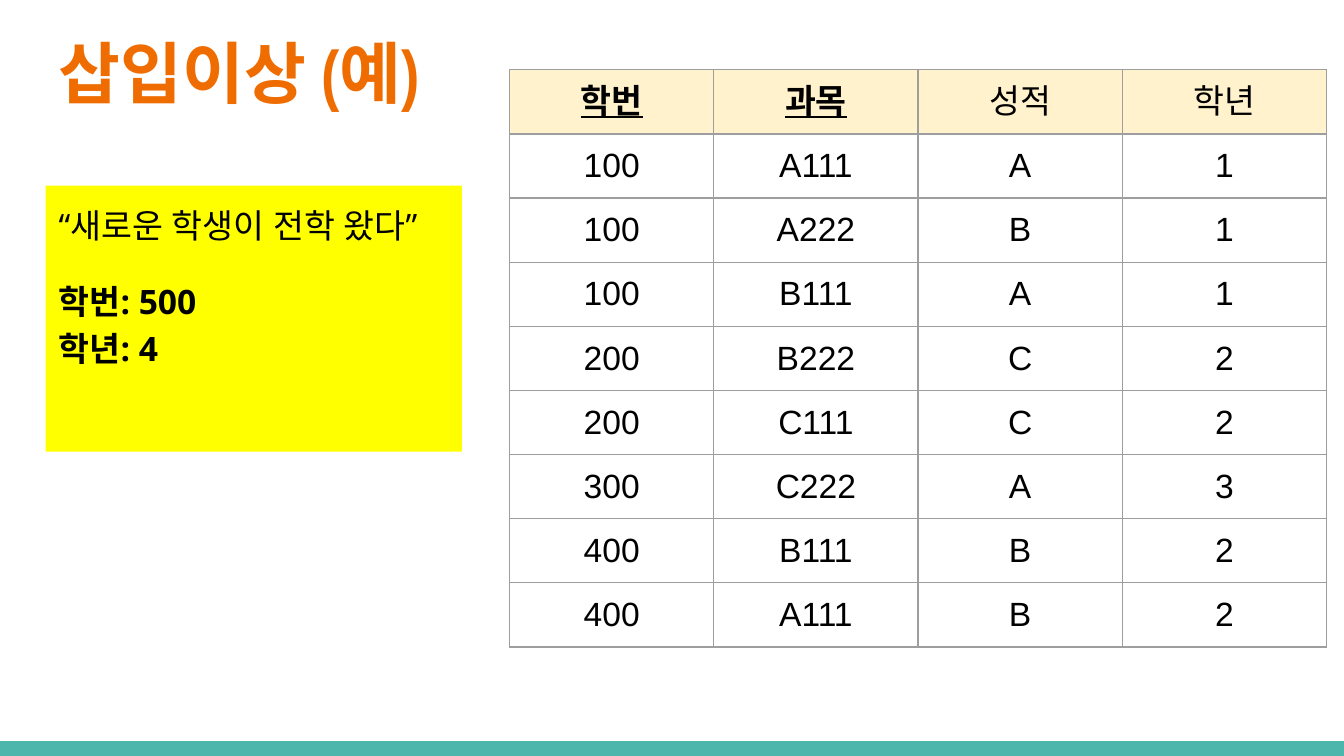
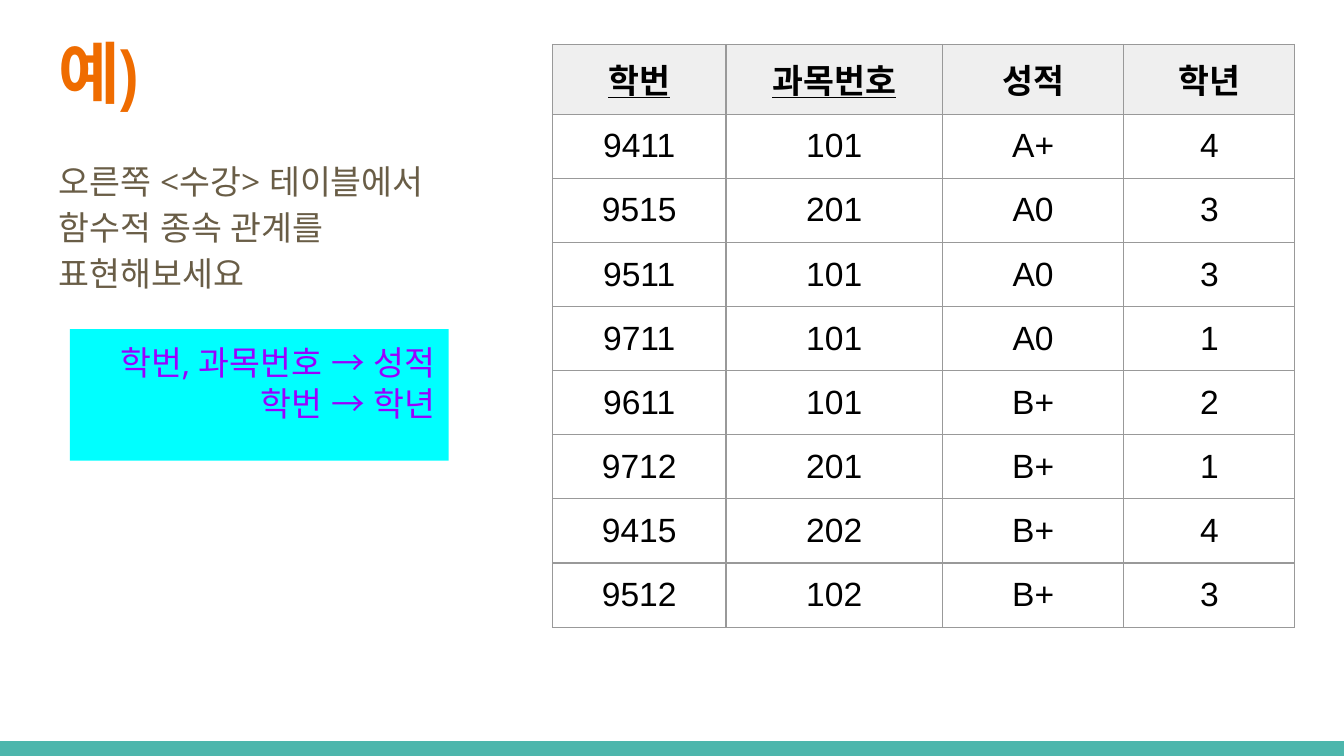
from copy import deepcopy
from dataclasses import dataclass

from lxml import etree
from pptx import Presentation
from pptx.dml.color import RGBColor
from pptx.enum.shapes import MSO_SHAPE
from pptx.enum.text import MSO_ANCHOR, MSO_AUTO_SIZE, PP_ALIGN
from pptx.oxml.ns import qn
from pptx.util import Cm, Pt

LEFT, CENTER, RIGHT = PP_ALIGN.LEFT, PP_ALIGN.CENTER, PP_ALIGN.RIGHT
TOP, MIDDLE = MSO_ANCHOR.TOP, MSO_ANCHOR.MIDDLE


@dataclass(frozen=True)
class Theme:
    band: str = "4DB6AC"
    title: str = "EF6C00"
    body: str = "695D46"
    ink: str = "000000"
    answer: str = "9900FF"
    answer_fill: str = "00FFFF"
    note_fill: str = "FFFF00"
    title_font: str = "Arial Narrow"
    body_font: str = "Open Sans"
    table_font: str = "Arial"
    title_size: int = 36
    text_size: int = 18
    border_width: float = 0.75


THEME = Theme()
PAGE_WIDTH, PAGE_HEIGHT, BAND_HEIGHT = 25.4, 14.29, 0.28
INSET = Cm(0.25)
SIDES = ("margin_left", "margin_top", "margin_right", "margin_bottom")

# Areas are (left, top, width, height) in centimetres.
PAGES = [
    {
        "title": "삽입이상 (예)",
        "title_width": 9.02,
        "body": {
            "area": (0.86, 3.51, 7.87, 5.03),
            "color": THEME.ink,
            "fill": THEME.note_fill,
            "paragraphs": [
                {"text": "“새로운 학생이 전학 왔다”"},
                {"text": "학번: 500\v학년: 4", "bold": True, "before": 16, "after": 16},
            ],
        },
        "table": {
            "corner": (9.63, 1.32),
            "columns": [3.86] * 4,
            "row_height": 1.07,
            "anchor": MIDDLE,
            "border": "9E9E9E",
            "header_fill": "FFF2CC",
            "header_spacing": 1.0,
            "keys": ("학번", "과목"),
            "bold": ("학번", "과목"),
            "rows": [
                ("학번", "과목", "성적", "학년"),
                ("100", "A111", "A", "1"),
                ("100", "A222", "B", "1"),
                ("100", "B111", "A", "1"),
                ("200", "B222", "C", "2"),
                ("200", "C111", "C", "2"),
                ("300", "C222", "A", "3"),
                ("400", "B111", "B", "2"),
                ("400", "A111", "B", "2"),
            ],
        },
    },
    {
        "title": "예)",
        "title_width": 7.04,
        "body": {
            "area": (0.86, 2.67, 8.94, 4.32),
            "color": THEME.body,
            "paragraphs": [
                {"text": "오른쪽 <수강> 테이블에서 함수적 종속 관계를 표현해보세요", "after": 16},
            ],
        },
        "table": {
            "corner": (10.44, 0.84),
            "columns": [3.28, 4.09, 3.43, 3.23],
            "row_height": 0.61,
            "anchor": TOP,
            "border": "999999",
            "header_fill": "EFEFEF",
            "header_spacing": 1.15,
            "keys": ("학번", "과목번호"),
            "bold": ("학번", "과목번호", "성적", "학년"),
            "rows": [
                ("학번", "과목번호", "성적", "학년"),
                ("9411", "101", "A+", "4"),
                ("9515", "201", "A0", "3"),
                ("9511", "101", "A0", "3"),
                ("9711", "101", "A0", "1"),
                ("9611", "101", "B+", "2"),
                ("9712", "201", "B+", "1"),
                ("9415", "202", "B+", "4"),
                ("9512", "102", "B+", "3"),
            ],
        },
        "answer": {
            "area": (1.32, 6.22, 7.16, 2.49),
            "paragraphs": [
                {"text": "학번, 과목번호 → 성적"},
                {"text": "학번 → 학년"},
            ],
        },
    },
]
HEADER_HEIGHT = 1.07


def set_all(target, values):
    for name, value in values.items():
        setattr(target, name, value)


def place(shape, area):
    set_all(shape, dict(zip(("left", "top", "width", "height"), map(Cm, area))))


def paint(shape, color):
    shape.fill.solid()
    shape.fill.fore_color.rgb = RGBColor.from_string(color)


def write(para, text, font, size, color, bold=False, underline=None,
          align=LEFT, spacing=1.0, before=0, after=0):
    """Fill one unbulleted paragraph; a vertical tab in text is a line break."""
    para.text = text
    properties = para._p.get_or_add_pPr()
    properties.set("marL", "0")
    properties.set("indent", "0")
    etree.SubElement(properties, qn("a:buNone"))
    set_all(para, {"alignment": align, "line_spacing": spacing,
                   "space_before": Pt(before), "space_after": Pt(after)})
    for span in para.runs:
        set_all(span.font, {"size": Pt(size), "bold": bold, "underline": underline})
        span.font.color.rgb = RGBColor.from_string(color)
        span.font.name = font
        etree.SubElement(span.font._element, qn("a:ea"), typeface=font)
    for line_break in para._p.findall(qn("a:br")):
        line_break.append(deepcopy(para.runs[0].font._element))


def write_box(shape, paragraphs, anchor=TOP, **style):
    frame = shape.text_frame
    set_all(frame, {"word_wrap": True, "auto_size": MSO_AUTO_SIZE.NONE,
                    "vertical_anchor": anchor, **dict.fromkeys(SIDES, INSET)})
    for index, content in enumerate(paragraphs):
        para = frame.add_paragraph() if index else frame.paragraphs[0]
        write(para, **style, **content)


def add_rectangle(page, area, color):
    shape = page.shapes.add_shape(MSO_SHAPE.RECTANGLE, *map(Cm, area))
    paint(shape, color)
    shape.line.fill.background()
    shape.shadow.inherit = False
    return shape


def border_cell(cell, color):
    properties = cell._tc.get_or_add_tcPr()
    for side in ("lnL", "lnR", "lnT", "lnB"):
        line = etree.SubElement(properties, qn(f"a:{side}"), w=str(Pt(THEME.border_width)))
        fill = etree.SubElement(line, qn("a:solidFill"))
        etree.SubElement(fill, qn("a:srgbClr"), val=color)


def add_grid(page, grid):
    rows, columns = grid["rows"], grid["columns"]
    heights = [HEADER_HEIGHT] + [grid["row_height"]] * (len(rows) - 1)
    area = (*grid["corner"], sum(columns), sum(heights))
    table = page.shapes.add_table(len(rows), len(columns), *map(Cm, area)).table
    set_all(table, {"first_row": False, "horz_banding": False})
    for column, width in zip(table.columns, columns):
        column.width = Cm(width)
    for row_index, (row, height, texts) in enumerate(zip(table.rows, heights, rows)):
        row.height = Cm(height)
        header = row_index == 0
        for cell, text in zip(row.cells, texts):
            set_all(cell, {"vertical_anchor": grid["anchor"], **dict.fromkeys(SIDES, INSET)})
            border_cell(cell, grid["border"])
            if header:
                paint(cell, grid["header_fill"])
            else:
                cell.fill.background()
            write(cell.text_frame.paragraphs[0], text, THEME.table_font,
                  THEME.text_size, THEME.ink, bold=header and text in grid["bold"],
                  underline=header and text in grid["keys"], align=CENTER,
                  spacing=grid["header_spacing"] if header else 1.0)


def add_page(deck, content):
    page = deck.slides.add_slide(deck.slide_layouts[1])
    title, body = page.placeholders
    place(title, (0.86, 0.38, content["title_width"], 1.96))
    write_box(title, [{"text": content["title"]}], MIDDLE, font=THEME.title_font,
              size=THEME.title_size, color=THEME.title, bold=True)

    text_style = {"font": THEME.body_font, "size": THEME.text_size}
    note = content["body"]
    place(body, note["area"])
    if "fill" in note:
        paint(body, note["fill"])
    write_box(body, note["paragraphs"], color=note["color"], spacing=1.15, **text_style)

    add_grid(page, content["table"])
    if "answer" in content:
        answer = content["answer"]
        box = add_rectangle(page, answer["area"], THEME.answer_fill)
        write_box(box, answer["paragraphs"], color=THEME.answer, align=RIGHT, **text_style)
    return page


def add_master_band(deck, page):
    """Draw the bottom band and move it to the master, so every slide shows it."""
    area = (0, PAGE_HEIGHT - BAND_HEIGHT, PAGE_WIDTH, BAND_HEIGHT)
    band = add_rectangle(page, area, THEME.band)
    deck.slide_master.shapes._spTree.append(band._element)


def main():
    deck = Presentation()
    set_all(deck, {"slide_width": Cm(PAGE_WIDTH), "slide_height": Cm(PAGE_HEIGHT)})
    pages = [add_page(deck, content) for content in PAGES]
    add_master_band(deck, pages[0])
    deck.save("out.pptx")


if __name__ == "__main__":
    main()
